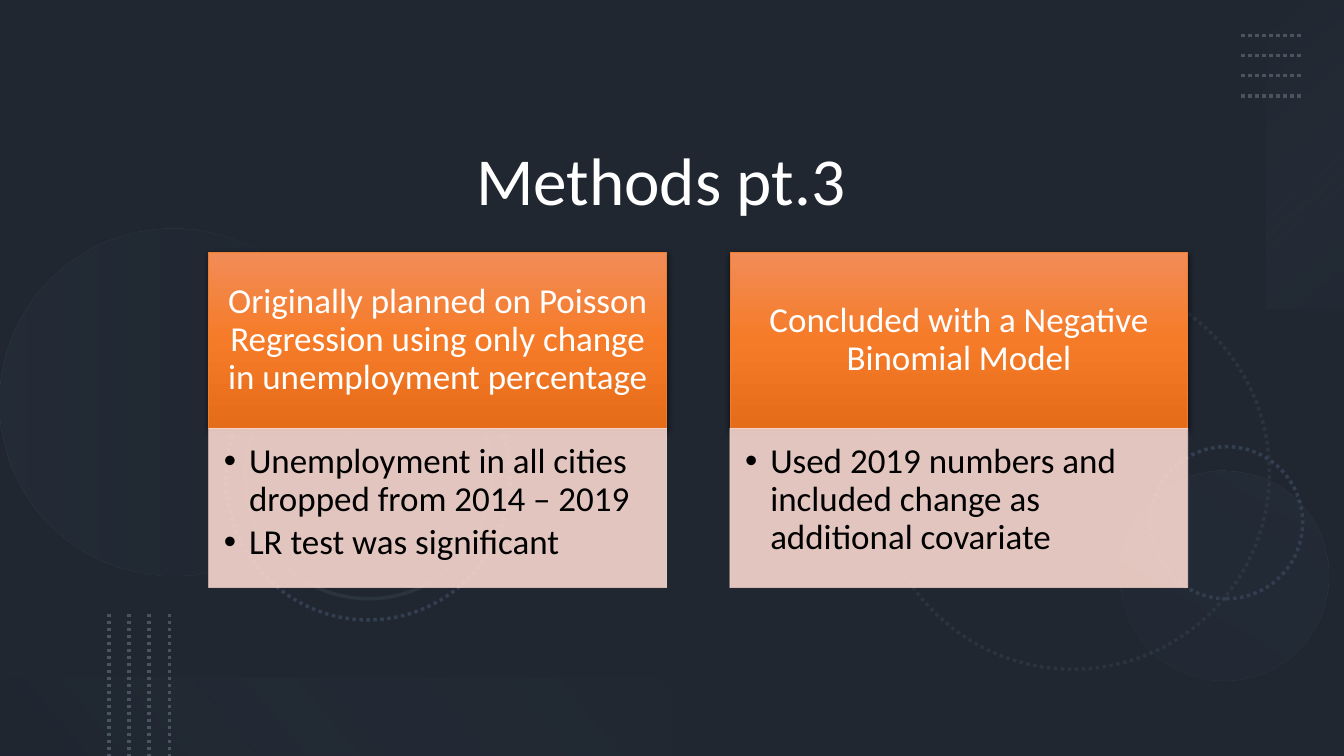
from lxml import etree
from pptx import Presentation
from pptx.dml.color import RGBColor
from pptx.enum.dml import MSO_LINE
from pptx.enum.shapes import MSO_CONNECTOR, MSO_SHAPE
from pptx.enum.text import MSO_ANCHOR, PP_ALIGN
from pptx.oxml.ns import qn
from pptx.util import Inches, Pt

RECTANGLE, OVAL = MSO_SHAPE.RECTANGLE, MSO_SHAPE.OVAL
STRAIGHT = MSO_CONNECTOR.STRAIGHT
DOTTED = MSO_LINE.ROUND_DOT
CENTER, LEFT = PP_ALIGN.CENTER, PP_ALIGN.LEFT
TOP, MIDDLE, BOTTOM = MSO_ANCHOR.TOP, MSO_ANCHOR.MIDDLE, MSO_ANCHOR.BOTTOM

WIDTH, HEIGHT = 13.33, 7.5
FONT = "Calibri"
WHITE, BLACK = "FFFFFF", "000000"
SLATE, NAVY, STEEL = "44546A", "222A35", "333F50"
RING, DOTS = "2B343E", "4A5461"
PANEL, ORANGE = "F8D7CE", "ED7D31"
HEADER_STOPS = [(0, "F18C57", 100), (50, "F67B28", 100), (100, "E56C19", 100)]

CARD_LEFT, CARD_TOP, CARD_WIDTH, CARD_PITCH = 2.07, 2.5, 4.54, 5.17
HEADER_HEIGHT, BODY_HEIGHT = 1.75, 1.58
CARDS = [
    ("Originally planned on Poisson Regression using only change in unemployment percentage",
     ["Unemployment in all cities dropped from 2014 – 2019", "LR test was significant"]),
    ("Concluded with a Negative Binomial Model",
     ["Used 2019 numbers and included change as additional covariate"]),
]


def color(hex_value):
    return RGBColor.from_string(hex_value)


def add_child(parent, tag, **attributes):
    child = etree.SubElement(parent, qn(tag))
    for name, value in attributes.items():
        child.set(name, str(value))
    return child


def set_solid(fill, hex_value, opacity=100):
    fill.solid()
    fill.fore_color.rgb = color(hex_value)
    if opacity < 100:
        # python-pptx has no public setting for transparency.
        for element in fill._xPr.iter(qn("a:srgbClr")):
            add_child(element, "a:alpha", val=opacity * 1000)


def set_gradient(shape, stops, angle):
    """Fill with (position, colour, opacity) stops at a clockwise angle."""
    shape.fill.gradient()
    gradient = shape._element.spPr.find(qn("a:gradFill"))
    for child in list(gradient):
        gradient.remove(child)
    stop_list = add_child(gradient, "a:gsLst")
    for position, hex_value, opacity in stops:
        stop = add_child(stop_list, "a:gs", pos=position * 1000)
        value = add_child(stop, "a:srgbClr", val=hex_value)
        add_child(value, "a:alpha", val=opacity * 1000)
    add_child(gradient, "a:lin", ang=angle * 60000, scaled=0)


def add_box(slide, kind, left, top, width, height, rotation=0):
    shape = slide.shapes.add_shape(
        kind, Inches(left), Inches(top), Inches(width), Inches(height))
    shape.rotation = rotation
    shape.shadow.inherit = False
    shape.line.fill.background()
    return shape


def set_line(line, hex_value, width, opacity=100):
    set_solid(line.fill, hex_value, opacity)
    line.width = Pt(width)


def add_ring(slide, left, top, size, rotation, hex_value, dotted=True):
    ring = add_box(slide, OVAL, left, top, size, size, rotation)
    ring.fill.background()
    set_line(ring.line, hex_value, 2.5)
    if dotted:
        ring.line.dash_style = DOTTED


def add_dotted_line(slide, left, top, right, bottom):
    connector = slide.shapes.add_connector(
        STRAIGHT, Inches(left), Inches(top), Inches(right), Inches(bottom))
    set_line(connector.line, DOTS, 2.5)
    connector.line.dash_style = DOTTED
    add_child(connector._element.spPr, "a:effectLst")


def add_header_shadow(shape):
    effects = shape._element.spPr.find(qn("a:effectLst"))
    shadow = add_child(effects, "a:outerShdw", blurRad=Pt(4.5), dist=Pt(1.5),
                       dir=90 * 60000, algn="ctr", rotWithShape=0)
    value = add_child(shadow, "a:srgbClr", val=BLACK)
    add_child(value, "a:alpha", val=63000)


def write_text(shape, lines, size, hex_value, align, anchor, margins, space_after=0):
    frame = shape.text_frame
    frame.word_wrap = True
    frame.vertical_anchor = anchor
    (frame.margin_left, frame.margin_top,
     frame.margin_right, frame.margin_bottom) = map(Inches, margins)
    for index, text in enumerate(lines):
        paragraph = frame.paragraphs[0] if index == 0 else frame.add_paragraph()
        paragraph.alignment = align
        paragraph.line_spacing = 0.9
        paragraph.space_after = Pt(space_after)
        run = paragraph.add_run()
        run.text = text
        run.font.size = Pt(size)
        run.font.name = FONT
        run.font.color.rgb = color(hex_value)


def add_bullets(shape):
    for paragraph in shape.text_frame.paragraphs:
        paragraph.level = 1
        properties = paragraph._p.get_or_add_pPr()
        properties.set("marL", str(Inches(0.25)))
        properties.set("indent", str(-Inches(0.25)))
        add_child(properties, "a:buFont", typeface="Arial")
        add_child(properties, "a:buChar", char="•")


def add_backdrop(slide):
    for hex_value, opacity in ((SLATE, 100), (BLACK, 53)):
        set_solid(add_box(slide, RECTANGLE, 0, 0, WIDTH, HEIGHT).fill, hex_value, opacity)
    add_ring(slide, 8.69, 2.74, 3.9, 75, RING)
    add_ring(slide, 11.41, 4.43, 1.51, 270, STEEL)
    disc = add_box(slide, OVAL, 0, 2.27, 3.44, 3.44, 270)
    set_gradient(disc, [(0, STEEL, 20), (100, NAVY, 10)], 90)
    disc = add_box(slide, OVAL, 11.1, 4.67, 2.08, 2.08, 210)
    set_gradient(disc, [(0, STEEL, 10), (100, STEEL, 20)], 90)
    add_ring(slide, 2.24, 3.33, 2.82, 75, STEEL)
    add_ring(slide, 2.43, 3.49, 2.45, 75, RING, dotted=False)
    band = add_box(slide, RECTANGLE, 11.42, 1.14, 3.06, 0.78, 270)
    set_gradient(band, [(0, "ADB9CA", 0), (100, STEEL, 10)], 140)
    band = add_box(slide, RECTANGLE, 0, 6.72, WIDTH / 2, 0.78, 180)
    set_gradient(band, [(10, NAVY, 10), (100, "8497B0", 0)], 140)
    for step in range(4):
        offset = 0.2 * step
        add_dotted_line(slide, 1.08 + offset, 6.09, 1.08 + offset, HEIGHT)
        add_dotted_line(slide, 12.31, 0.35 + offset, 12.91, 0.35 + offset)


def add_title(slide):
    title = slide.shapes.title
    title.left, title.top = Inches(2.63), Inches(1.11)
    title.width, title.height = Inches(8), Inches(1.12)
    write_text(title, ["Methods pt.3 "], 48, WHITE, CENTER, BOTTOM, (0.1, 0.05, 0.1, 0.05))
    slide.shapes._spTree.append(title._element)  # bring in front of the backdrop


def add_card(slide, left, heading, points):
    header = add_box(slide, RECTANGLE, left, CARD_TOP, CARD_WIDTH, HEADER_HEIGHT)
    set_gradient(header, HEADER_STOPS, 90)
    set_line(header.line, ORANGE, 0.5)
    add_header_shadow(header)
    write_text(header, [heading], 25, WHITE, CENTER, MIDDLE, (0.19, 0.11, 0.19, 0.11))
    body = add_box(slide, RECTANGLE, left, CARD_TOP + HEADER_HEIGHT, CARD_WIDTH, BODY_HEIGHT)
    set_solid(body.fill, PANEL, 90)
    set_line(body.line, PANEL, 0.5, 90)
    write_text(body, points, 25, BLACK, LEFT, TOP, (0.15, 0.15, 0.19, 0.22), 3.75)
    add_bullets(body)


def main():
    presentation = Presentation()
    presentation.slide_width, presentation.slide_height = Inches(WIDTH), Inches(HEIGHT)
    slide = presentation.slides.add_slide(presentation.slide_layouts.get_by_name("Title Only"))
    add_backdrop(slide)
    add_title(slide)
    for column, (heading, points) in enumerate(CARDS):
        add_card(slide, CARD_LEFT + column * CARD_PITCH, heading, points)
    presentation.save("out.pptx")


if __name__ == "__main__":
    main()
